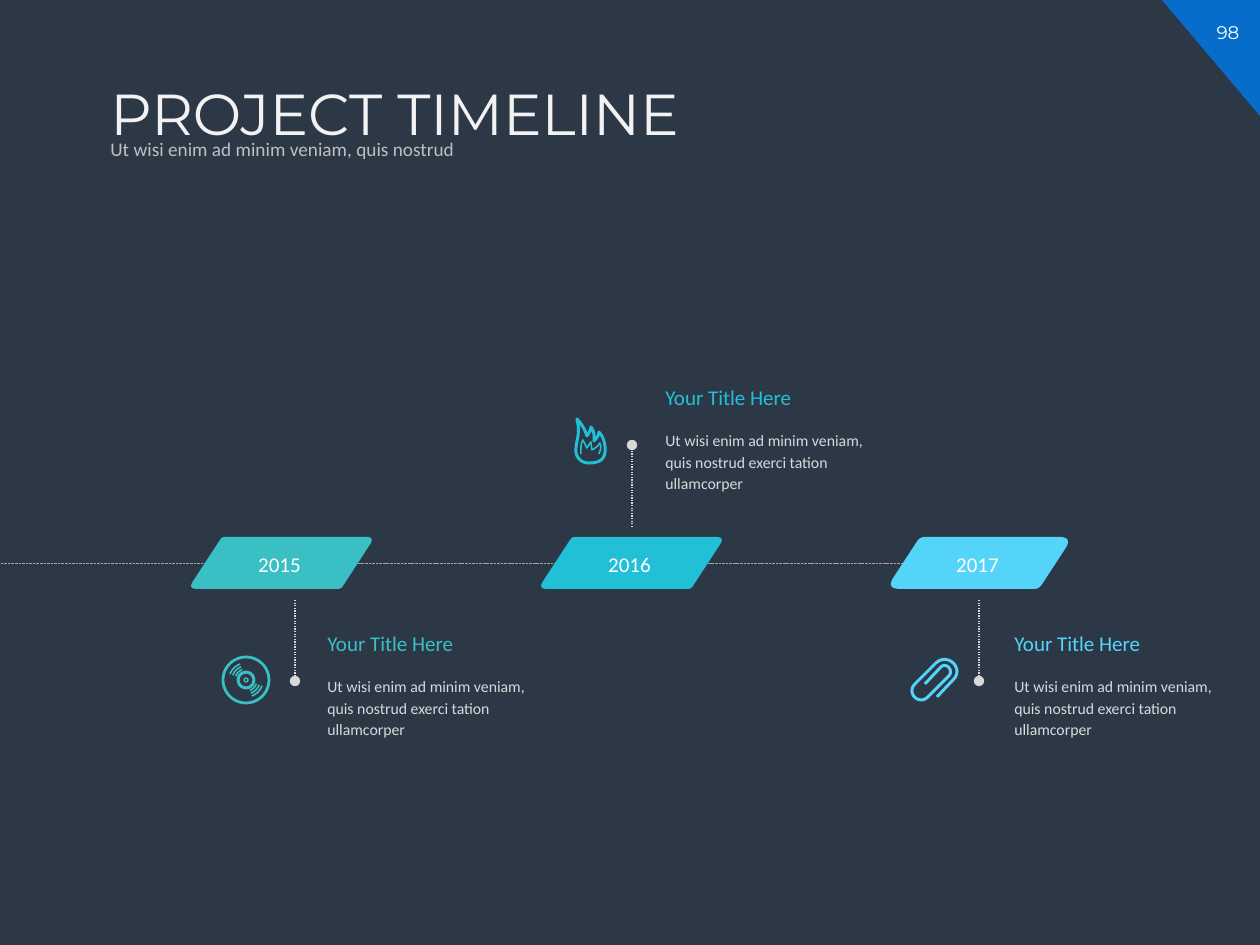
from dataclasses import dataclass
from math import cos, hypot, radians, sin

from pptx import Presentation
from pptx.dml.color import RGBColor
from pptx.enum.dml import MSO_LINE_DASH_STYLE as Dash
from pptx.enum.shapes import MSO_CONNECTOR, MSO_SHAPE
from pptx.enum.text import MSO_ANCHOR as Anchor, PP_ALIGN as Align
from pptx.oxml.ns import qn
from pptx.util import Pt
from lxml.etree import SubElement

EMU_PER_PX = 914400 / 126


@dataclass(frozen=True)
class Theme:
    background: str = "2D3847"
    corner: str = "066DCA"
    white: str = "FFFFFF"
    title: str = "F2F2F2"
    subtitle: str = "BFBFBF"
    body: str = "D9D9D9"
    axis: str = "A6A6A6"
    teal: str = "3ABFC4"
    cyan: str = "21C0D7"
    sky: str = "55D4FA"
    heading_font: str = "Montserrat"
    body_font: str = "Calibri"
    title_size: float = 33
    label_size: float = 12
    subtitle_size: float = 11
    number_size: float = 10.5
    body_size: float = 9


THEME = Theme()


def px(length):
    return round(length * EMU_PER_PX)


def add_text(slide, text, box, *, size, color, font=THEME.body_font,
             align=Align.LEFT, anchor=Anchor.TOP, spacing=None):
    shape = slide.shapes.add_textbox(*map(px, box))
    frame = shape.text_frame
    frame.word_wrap = True
    frame.vertical_anchor = anchor
    paragraph = frame.paragraphs[0]
    paragraph.text = text
    paragraph.alignment = align
    paragraph.line_spacing = spacing
    paragraph.font.name = font
    paragraph.font.size = Pt(size)
    paragraph.font.color.rgb = RGBColor.from_string(color)


def paint(shape, *, fill=None, line=None, width=1):
    shape.shadow.inherit = False
    if fill:
        shape.fill.solid()
        shape.fill.fore_color.rgb = RGBColor.from_string(fill)
    else:
        shape.fill.background()
    if line:
        shape.line.color.rgb = RGBColor.from_string(line)
        shape.line.width = Pt(width)
    else:
        shape.line.fill.background()


def add_line(slide, start, end, *, color, width, dash, dot_end=False):
    line = slide.shapes.add_connector(MSO_CONNECTOR.STRAIGHT, *map(px, (*start, *end)))
    line.line.color.rgb = RGBColor.from_string(color)
    line.line.width = Pt(width)
    line.line.dash_style = dash
    if dot_end:
        SubElement(line.line._get_or_add_ln(), qn("a:tailEnd"), type="oval")
    SubElement(line._element.spPr, qn("a:effectLst"))


def trace(path, steps=12):
    """Flatten a start point, lines (x, y) and cubics (three points) into points."""
    points = [path[0]]
    for segment in path[1:]:
        if len(segment) == 2:
            points.append(segment)
            continue
        x0, y0 = points[-1]
        x1, y1, x2, y2, x3, y3 = segment
        for step in range(1, steps + 1):
            t = step / steps
            a, b, c, d = (1 - t) ** 3, 3 * t * (1 - t) ** 2, 3 * t * t * (1 - t), t ** 3
            points.append((a * x0 + b * x1 + c * x2 + d * x3,
                           a * y0 + b * y1 + c * y2 + d * y3))
    return points


def add_path(slide, points, left, top, *, close=False, **format):
    placed = [(px(left + x), px(top + y)) for x, y in points]
    builder = slide.shapes.build_freeform(*placed[0])
    builder.add_line_segments(placed[1:], close=close)
    paint(builder.convert_to_shape(), **format)


def rounded(corners):
    """Round each (x, y, radius) corner of a polygon."""
    path = []
    for index, (x, y, radius) in enumerate(corners):
        cuts = []
        for other in (corners[index - 1], corners[(index + 1) % len(corners)]):
            dx, dy = other[0] - x, other[1] - y
            share = radius / hypot(dx, dy)
            cuts.append((x + dx * share, y + dy * share))
        (ax, ay), (bx, by) = cuts
        path += [(ax, ay), ((ax + 2 * x) / 3, (ay + 2 * y) / 3,
                            (bx + 2 * x) / 3, (by + 2 * y) / 3, bx, by)]
    return trace(path)


def add_disc(slide, left, top, color):
    for radius, width in ((23, 1.6), (8, 1.7), (2, 0.75)):
        box = (left + 24 - radius, top + 24 - radius, 2 * radius, 2 * radius)
        ring = slide.shapes.add_shape(MSO_SHAPE.OVAL, *map(px, box))
        paint(ring, line=color, width=width)
    for first_angle in (20, 200):
        for radius in (11, 14, 17):
            angles = [radians(first_angle + step) for step in range(0, 51, 5)]
            arc = [(24 + radius * cos(a), 24 + radius * sin(a)) for a in angles]
            add_path(slide, arc, left, top, line=color, width=0.9)


def add_flame(slide, left, top, color):
    outer = [(3, 3), (7, 18, 2, 23, 2, 35), (2, 41, 7, 47, 15, 47),
             (27, 47, 30, 42, 31, 37), (32, 30, 30, 21, 25, 16),
             (25, 19, 23, 22, 20, 25), (21, 18, 19, 13, 17, 11),
             (17, 14, 15, 17, 13, 20), (11, 13, 7, 7, 3, 3)]
    inner = [(7, 38), (7, 30, 7, 27, 9, 24), (13, 32), (17, 26), (18, 34),
             (22, 32, 24, 30, 26, 27), (28, 32, 26, 35, 25, 38)]
    add_path(slide, trace(outer), left, top, close=True, line=color, width=1.7)
    add_path(slide, trace(inner), left, top, line=color, width=0.9)


def add_clip(slide, left, top, color):
    wire = [(27, 39), (43, 22), (55, 11, 38, -6, 26, 5), (5, 26),
            (-4, 35, 9, 48, 18, 39), (39, 18), (44, 12, 36, 4, 31, 9), (15, 26)]
    add_path(slide, trace(wire), left, top, line=color, width=1.7)


def add_header(slide, left, top):
    add_text(slide, "PROJECT TIMELINE", (left, top, 1116, 92), size=THEME.title_size,
             color=THEME.title, font=THEME.heading_font, spacing=0.9)
    add_text(slide, "Ut wisi enim ad minim veniam, quis nostrud",
             (left, top + 55, 908, 33), size=THEME.subtitle_size,
             color=THEME.subtitle, anchor=Anchor.MIDDLE, spacing=0.9)


def add_page_corner(slide, left, top, width, height):
    corner = slide.shapes.add_shape(MSO_SHAPE.RIGHT_TRIANGLE,
                                    *map(px, (left, top, width, height)))
    corner.rotation = 180
    paint(corner, fill=THEME.corner)
    add_text(slide, "98", (left + 34, top + 15, 64, 35), size=THEME.number_size,
             color=THEME.white, font=THEME.heading_font, align=Align.CENTER)


def add_year(slide, year, left, top, color, sharp, blunt):
    width, height, slant = 187, 52, 34
    corners = [(slant, 0, blunt), (width, 0, sharp),
               (width - slant, height, blunt), (0, height, sharp)]
    add_path(slide, rounded(corners), left, top, close=True, fill=color)
    add_text(slide, year, (left - 2, top + 8, width, 38), size=THEME.label_size,
             color=THEME.white, align=Align.CENTER)


def add_callout(slide, left, top, color, pin_start, pin_end):
    """Place a title and text, with a dotted pin just to their left."""
    add_line(slide, pin_start, pin_end, color=THEME.body, width=0.75,
             dash=Dash.ROUND_DOT, dot_end=True)
    add_text(slide, "Your Title Here", (left, top, 164, 38),
             size=THEME.label_size, color=color)
    add_text(slide, "Ut wisi enim ad minim veniam, quis nostrud exerci tation ullamcorper",
             (left, top + 44, 241, 78), size=THEME.body_size, color=THEME.body, spacing=1.14)


def add_timeline(slide, top):
    """Draw the axis and its events around the row of years starting at top."""
    add_line(slide, (907, top + 26), (0, top + 26), color=THEME.axis,
             width=0.5, dash=Dash.SQUARE_DOT)
    below, above = (87, 63, 144), (-159, -10, -92)
    events = [
        ("2015", 188, THEME.teal, (9, 3), 295, 315, below, add_disc, (222, 119)),
        ("2016", 538, THEME.cyan, (9, 3), 632, 653, above, add_flame, (574, -121)),
        ("2017", 886, THEME.sky, (14, 5), 979, 1002, below, add_clip, (910, 121)),
    ]
    for year, left, color, radii, pin, text_left, side, add_icon, icon in events:
        text_top, pin_start, pin_end = (top + offset for offset in side)
        add_year(slide, year, left, top, color, *radii)
        add_callout(slide, text_left, text_top, color, (pin, pin_start), (pin, pin_end))
        add_icon(slide, icon[0], top + icon[1], color)


def main():
    presentation = Presentation()
    presentation.slide_width, presentation.slide_height = px(1260), px(945)
    slide = presentation.slides.add_slide(presentation.slide_layouts[6])
    slide.background.fill.solid()
    slide.background.fill.fore_color.rgb = RGBColor.from_string(THEME.background)
    add_page_corner(slide, 1162, 0, 98, 116)
    add_header(slide, 98, 79)
    add_timeline(slide, 537)
    presentation.save("out.pptx")


if __name__ == "__main__":
    main()
